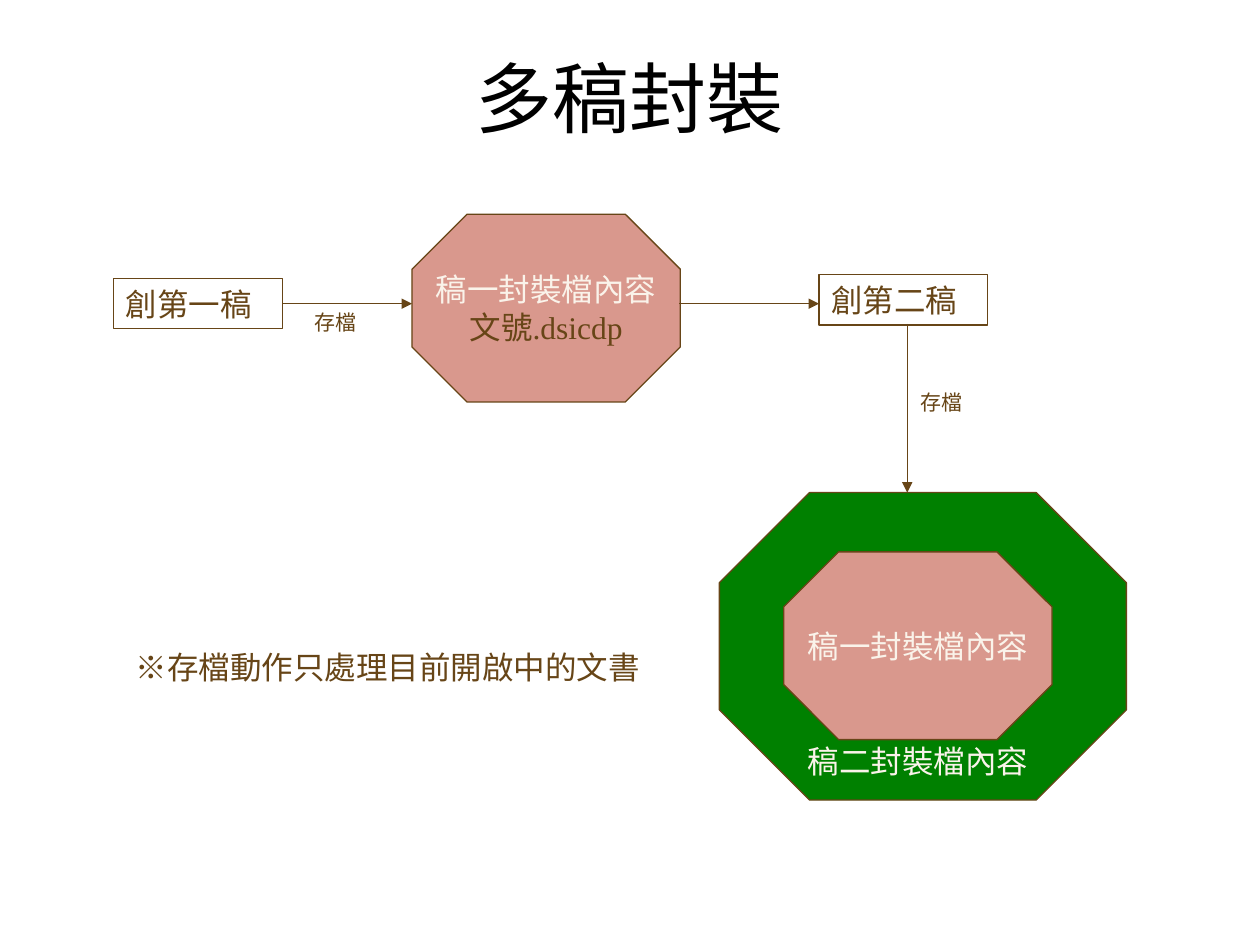
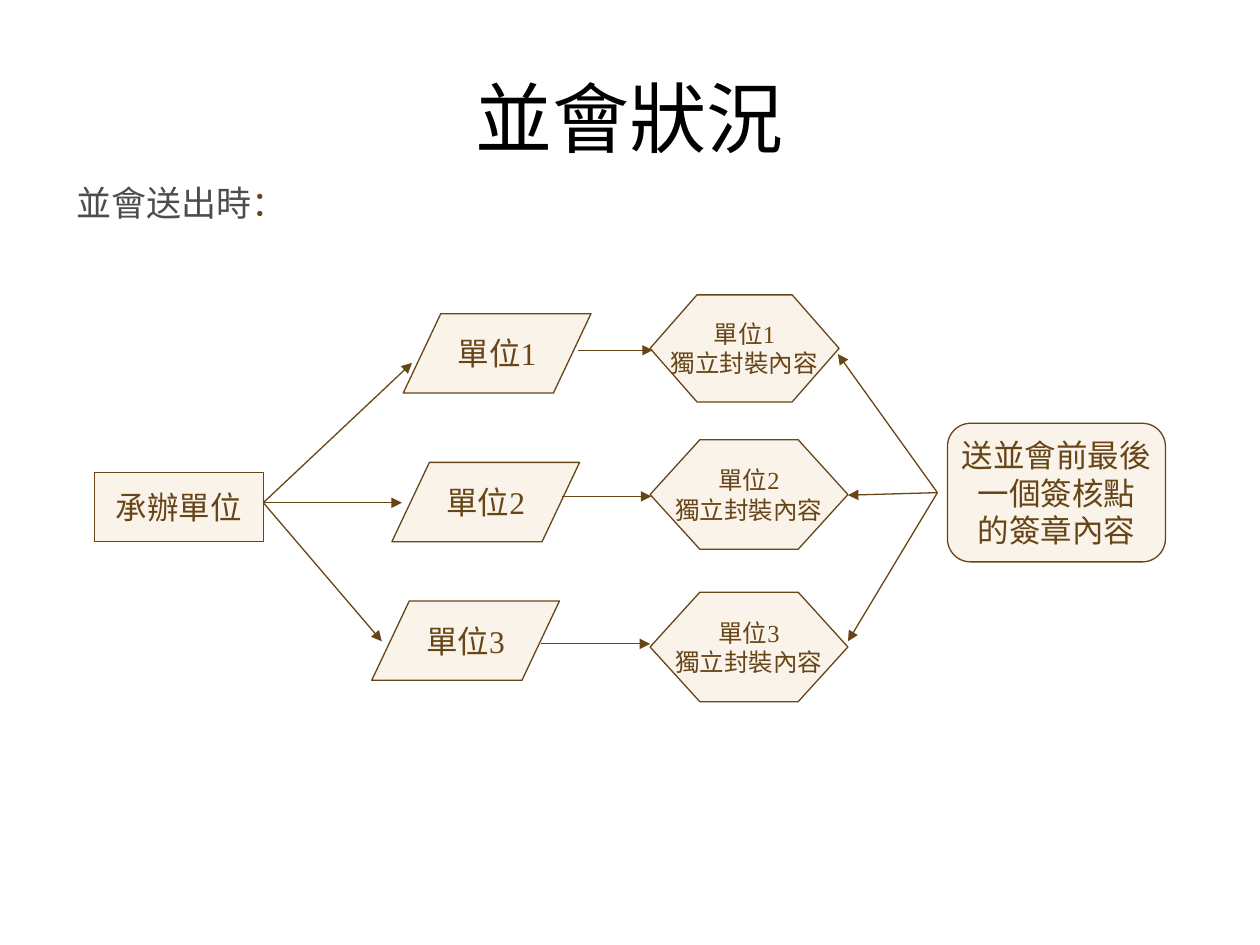
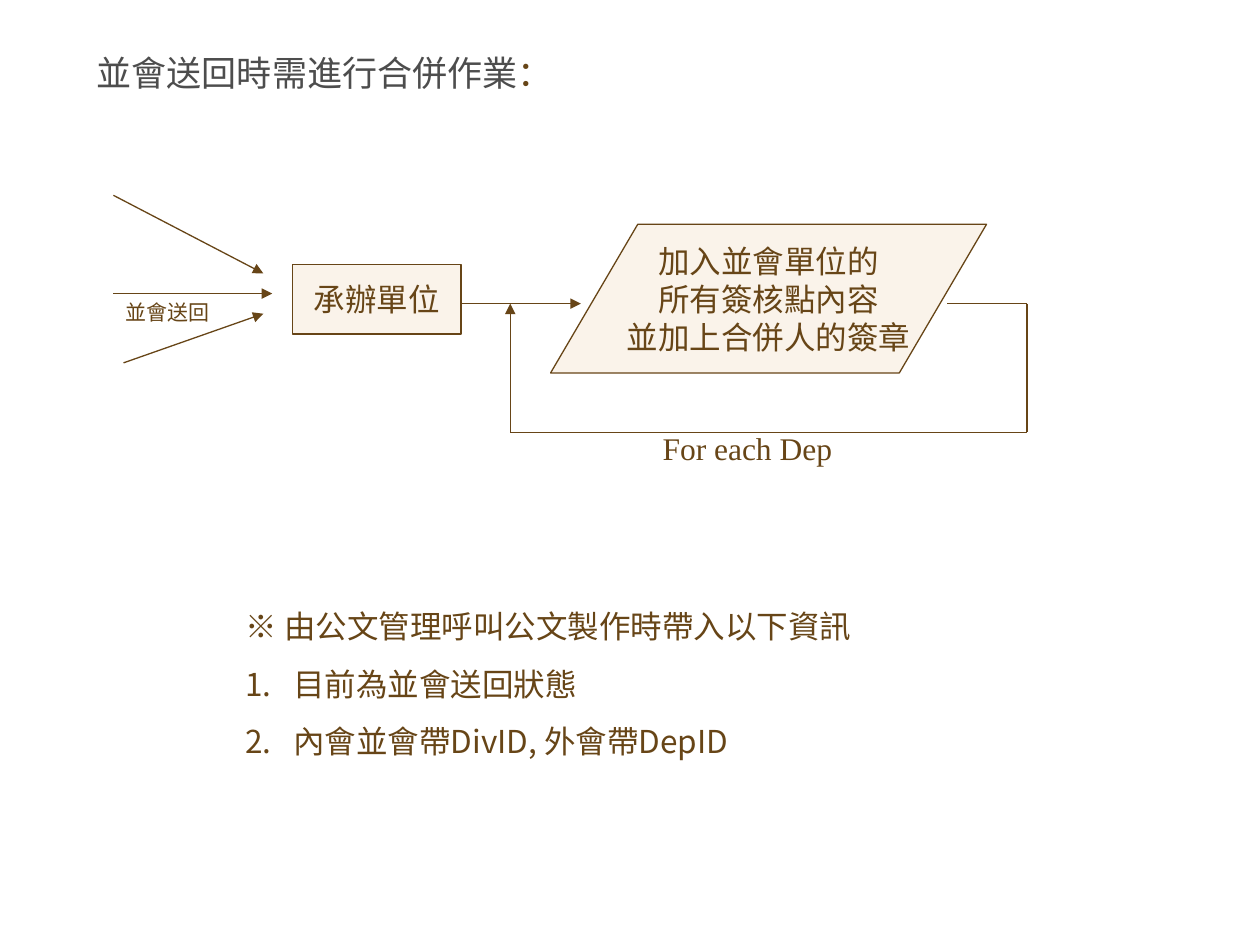
from dataclasses import dataclass

from lxml import etree
from pptx import Presentation
from pptx.dml.color import RGBColor
from pptx.enum.shapes import MSO_CONNECTOR, MSO_SHAPE
from pptx.enum.text import MSO_ANCHOR, MSO_AUTO_SIZE, PP_ALIGN
from pptx.oxml.ns import qn
from pptx.util import Inches, Pt

LEFT, CENTER = PP_ALIGN.LEFT, PP_ALIGN.CENTER
TOP, MIDDLE = MSO_ANCHOR.TOP, MSO_ANCHOR.MIDDLE
GROW = MSO_AUTO_SIZE.SHAPE_TO_FIT_TEXT
LINE = MSO_CONNECTOR.STRAIGHT
RECT = MSO_SHAPE.RECTANGLE
OCTAGON = MSO_SHAPE.OCTAGON
HEXAGON = MSO_SHAPE.HEXAGON
STEP = MSO_SHAPE.FLOWCHART_PROCESS
DATA = MSO_SHAPE.FLOWCHART_DATA
ROUND = MSO_SHAPE.FLOWCHART_ALTERNATE_PROCESS

COLS, ROWS = 100, 75
TITLED, BLANK = 5, 6


@dataclass(frozen=True)
class Theme:
    brown: str = "674517"
    cream: str = "FAF3EA"
    rose: str = "D9988D"
    green: str = "008000"
    gray: str = "4D4D4D"
    black: str = "000000"
    serif: str = "Times New Roman"
    sans: str = "Noto Sans CJK SC"
    title: int = 44
    head: int = 20
    body: int = 18
    small: int = 14
    tiny: int = 12
    rule: float = 0.75


THEME = Theme()


def write(frame, paras, size=THEME.body, color=THEME.brown, font=THEME.serif,
          align=LEFT, anchor=TOP, wrap=True, gap=0, hang=0, first=None):
    frame.word_wrap = wrap
    frame.vertical_anchor = anchor
    for i, para in enumerate(paras):
        p = frame.paragraphs[0] if i == 0 else frame.add_paragraph()
        p.alignment = align
        if hang:
            props = p._p.get_or_add_pPr()
            props.set("marL", str(Inches(hang)))
            props.set("indent", str(-Inches(hang)))
            if first is not None and i >= first:
                etree.SubElement(props, qn("a:buFont"), typeface=font)
                etree.SubElement(props, qn("a:buAutoNum"), type="arabicPeriod")
        if gap and i:
            p.space_before = Pt(gap)
        for part in [para] if isinstance(para, str) else para:
            words, tint = (part, color) if isinstance(part, str) else part
            run = p.add_run()
            run.text = words
            run.font.size = Pt(size)
            run.font.name = font
            run.font.color.rgb = RGBColor.from_string(tint)
            etree.SubElement(run._r.get_or_add_rPr(), qn("a:ea"),
                             typeface=THEME.sans)


class Deck:
    def __init__(self, theme):
        self.theme = theme
        self.file = Presentation()
        self.file.slide_width = Inches(10)
        self.file.slide_height = Inches(7.5)
        self.slide = None

    def x(self, col):
        return round(self.file.slide_width * col / COLS)

    def y(self, row):
        return round(self.file.slide_height * row / ROWS)

    def area(self, box):
        left, top, wide, high = box
        return self.x(left), self.y(top), self.x(wide), self.y(high)

    def page(self, title=None, high=0):
        layout = self.file.slide_layouts[BLANK if title is None else TITLED]
        self.slide = self.file.slides.add_slide(layout)
        if title is not None:
            head = self.slide.shapes.title
            head.left, head.top, head.width, head.height = self.area(
                (5, 3, 90, high))
            write(head.text_frame, [title], size=self.theme.title,
                  color=self.theme.black, align=CENTER, anchor=MIDDLE)

    def shape(self, kind, box, paras=(), fill=THEME.cream, adj=None, **fmt):
        item = self.slide.shapes.add_shape(kind, *self.area(box))
        item.shadow.inherit = False
        if adj is not None:
            item.adjustments[0] = adj
        if fill:
            item.fill.solid()
            item.fill.fore_color.rgb = RGBColor.from_string(fill)
        else:
            item.fill.background()
        item.line.color.rgb = RGBColor.from_string(self.theme.brown)
        item.line.width = Pt(self.theme.rule)
        look = dict(align=CENTER, anchor=MIDDLE, wrap=False)
        write(item.text_frame, paras, **{**look, **fmt})

    def note(self, box, paras, **fmt):
        item = self.slide.shapes.add_textbox(*self.area(box))
        item.text_frame.auto_size = GROW
        write(item.text_frame, paras, **fmt)

    def lead(self, box, words):
        self.note(box, [[(words, self.theme.gray), "："]],
                  size=self.theme.head)

    def line(self, start, end, arrow=True):
        item = self.slide.shapes.add_connector(
            LINE, self.x(start[0]), self.y(start[1]),
            self.x(end[0]), self.y(end[1]))
        item.line.color.rgb = RGBColor.from_string(self.theme.brown)
        item.line.width = Pt(self.theme.rule)
        props = item.element.spPr
        if arrow:
            etree.SubElement(props.find(qn("a:ln")), qn("a:tailEnd"),
                             type="triangle")
        etree.SubElement(props, qn("a:effectLst"))


def drafts(deck):
    deck.page("多稿封裝", 9.3)
    pack = "稿一封裝檔內容"
    inner = [(pack, THEME.cream)]
    deck.shape(OCTAGON, (32.7, 17, 21.3, 14.9), [inner, "文號.dsicdp"],
               fill=THEME.rose, adj=0.293)
    for left, top, words in ((9, 22.1, "創第一稿"), (65, 21.8, "創第二稿")):
        deck.shape(RECT, (left, top, 13.4, 4), [words], fill=None,
                   align=LEFT, anchor=TOP, wrap=True)
    deck.shape(OCTAGON, (57.1, 39.1, 32.3, 24.4), fill=THEME.green, adj=0.293)
    deck.shape(OCTAGON, (62.2, 43.8, 21.3, 14.9), [inner],
               fill=THEME.rose, adj=0.293)
    deck.note((62.2, 58.4, 21.3, 4), ["稿二封裝檔內容"],
              color=THEME.cream, align=CENTER)
    for start, end in (((22.4, 24.1), (32.7, 24.1)),
                       ((53.9, 24.1), (65, 24.1)),
                       ((72, 25.7), (72, 39.1))):
        deck.line(start, end)
    for left, top in ((24, 24.1), (72.1, 30.4)):
        deck.note((left, top, 5.3, 3), ["存檔"], size=THEME.tiny, wrap=False)
    deck.note((9.8, 50.9, 44.1, 4), ["※存檔動作只處理目前開啟中的文書"])


def send(deck):
    deck.page("並會狀況", 12.5)
    deck.lead((5.1, 13.9, 21.3, 4.4), "並會送出時")
    deck.shape(STEP, (7.5, 37.5, 13.4, 5.5), ["承辦單位"])
    deck.shape(ROUND, (75.2, 33.6, 17.3, 11),
               ["送並會前最後", "一個簽核點", "的簽章內容"])
    source, sign = (20.9, 39.9), (74.4, 39.1)
    units = (
        ((32, 24.9), (51.6, 23.4, 15, 8.5), 0.438,
         (32.7, 28.8), (45.9, 27.8), (51.8, 27.8), (66.5, 28.1)),
        ((31.1, 36.7), (51.6, 34.9, 15.7, 8.7), 0.454,
         (31.9, 39.9), (44.6, 39.4), (51.7, 39.4), (67.3, 39.3)),
        ((29.5, 47.7), (51.6, 47, 15.7, 8.7), 0.454,
         (30.3, 50.9), (42.9, 51.1), (51.6, 51.1), (67.3, 50.9)),
    )
    for num, (spot, pack, adj, goal, start, end, back) in enumerate(units, 1):
        unit = f"單位{num}"
        deck.shape(DATA, (*spot, 14.9, 6.3), [unit])
        deck.shape(HEXAGON, pack, [unit, "獨立封裝內容"], adj=adj,
                   size=THEME.small)
        deck.line(source, goal)
        deck.line(start, end)
        deck.line(sign, back)


def merge(deck):
    deck.page()
    deck.lead((6.7, 3.6, 39.4, 4.4), "並會送回時需進行合併作業")
    deck.shape(STEP, (23.2, 21, 13.4, 5.5), ["承辦單位"])
    deck.shape(DATA, (43.7, 17.8, 34.6, 11.8),
               ["加入並會單位的", "所有簽核點內容", "並加上合併人的簽章"])
    for start, end in (((9, 15.5), (20.9, 21.7)),
                       ((9, 23.3), (21.6, 23.3)),
                       ((9.8, 28.8), (20.9, 24.9)),
                       ((36.6, 24.1), (46.1, 24.1))):
        deck.line(start, end)
    loop = ((75.2, 24.1), (81.5, 24.1), (81.5, 34.3), (40.5, 34.3),
            (40.5, 24.1))
    for start, end in zip(loop, loop[1:]):
        deck.line(start, end, arrow=end == loop[-1])
    deck.note((9, 23.3, 10.2, 3), ["並會送回"], size=THEME.tiny)
    deck.note((51.6, 33.6, 18.9, 4), ["For each Dep"])
    deck.note((18.5, 47.7, 53.5, 13.2),
              ["※ 由公文管理呼叫公文製作時帶入以下資訊",
               "目前為並會送回狀態", "內會並會帶DivID, 外會帶DepID"],
              font=THEME.sans, gap=11.2, hang=0.38, first=1)


def main():
    deck = Deck(THEME)
    drafts(deck)
    send(deck)
    merge(deck)
    deck.file.save("out.pptx")


if __name__ == "__main__":
    main()
